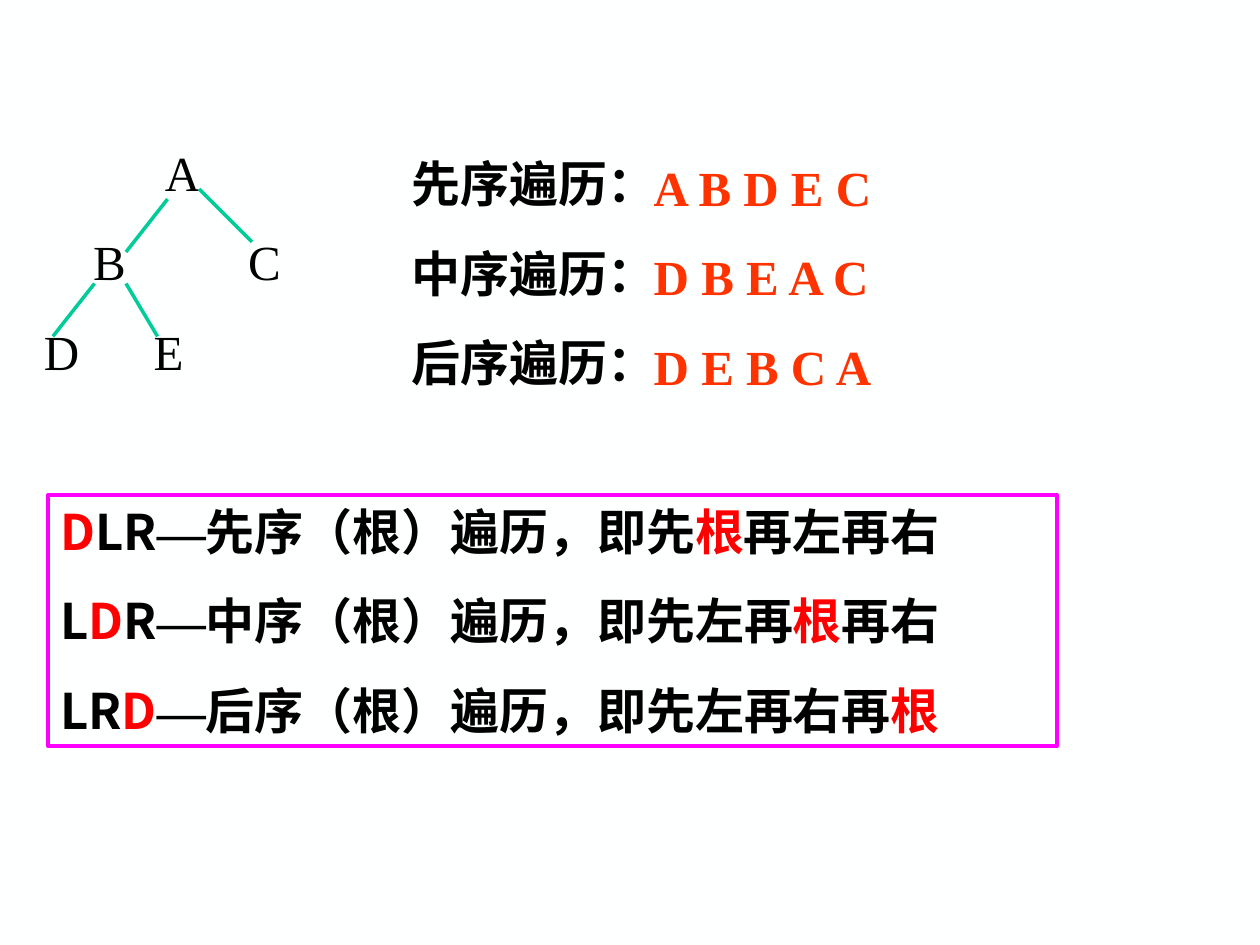
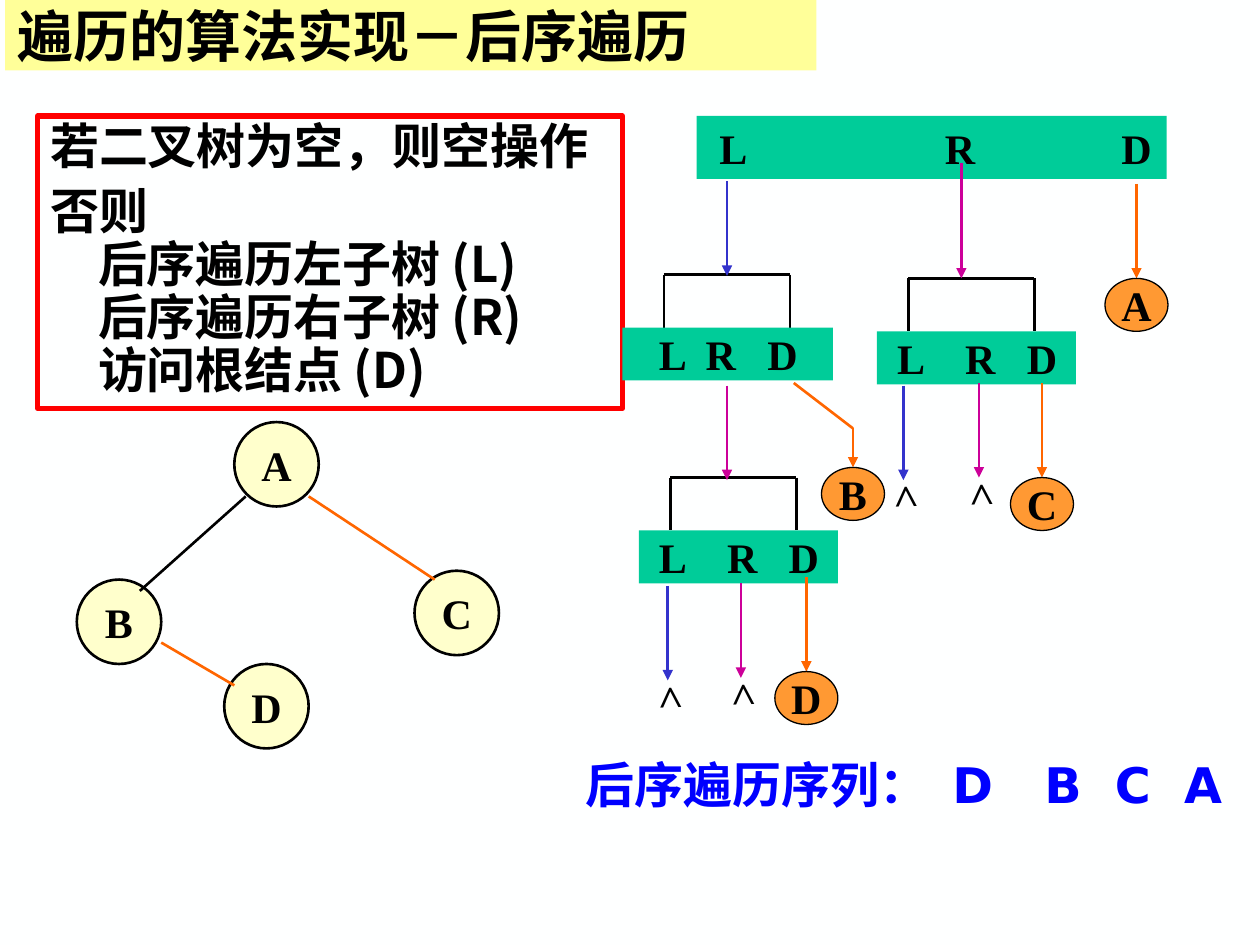
from dataclasses import dataclass
from typing import Sequence

from lxml.etree import SubElement
from pptx import Presentation
from pptx.dml.color import RGBColor
from pptx.enum.shapes import MSO_CONNECTOR as Connector, MSO_SHAPE as Preset
from pptx.enum.text import MSO_ANCHOR as Anchor, MSO_AUTO_SIZE as AutoSize, PP_ALIGN as Align
from pptx.oxml.ns import qn
from pptx.util import Inches, Pt

COLORS = {
    "background": "FEFFFF",
    "ink": "000000",
    "root": "FF0000",
    "result": "FF3300",
    "sequence": "0000FF",
    "title_band": "FFFF99",
    "rule_frame": "FF00FF",
    "green": "00CC99",
    "node": "FFFFCC",
    "visited": "FF9933",
    "L": "3333CC",
    "R": "CC0099",
    "D": "FF6600",
}
SERIF = "Times New Roman"
SANS = "Noto Sans CJK SC"
WIDE = "DejaVu Sans"


@dataclass(frozen=True)
class Run:
    text: str
    color: str = "ink"
    font: str = ""


@dataclass(frozen=True)
class Edge:
    x1: float
    y1: float
    x2: float
    y2: float
    color: str = "ink"


@dataclass(frozen=True)
class Node:
    letter: str
    left: float
    top: float


@dataclass(frozen=True)
class CallBar:
    left: float
    top: float
    width: float
    height: float
    inset: float
    tabs: tuple[float, ...]
    bracket: float | None = None


@dataclass(frozen=True)
class Step:
    role: str
    x: float
    top: float
    leaf: str = ""
    length: float = 0.75


TREE_EDGES = [
    Edge(1.33, 1.58, 1, 2, "green"),
    Edge(1.58, 1.5, 2, 1.92, "green"),
    Edge(1, 2.25, 1.25, 2.67, "green"),
    Edge(0.75, 2.25, 0.42, 2.67, "green"),
]
NODE_EDGES = [
    Edge(1.95, 3.94, 1.11, 4.69),
    Edge(2.45, 3.94, 3.45, 4.6, "D"),
    Edge(1.28, 5.1, 1.86, 5.44, "D"),
]
NODES = [
    Node("A", 1.86, 3.35),
    Node("D", 1.78, 5.27),
    Node("B", 0.61, 4.6),
    Node("C", 3.29, 4.53),
]
CALL_BARS = [
    CallBar(5.53, 0.92, 3.73, 0.5, 0.18, (1.79, 3.19)),
    CallBar(4.94, 2.6, 1.67, 0.42, 0.29, (0.37, 0.86), 0.33),
    CallBar(6.96, 2.63, 1.58, 0.42, 0.16, (0.54, 1.03), 0.25),
    CallBar(5.07, 4.21, 1.58, 0.42, 0.16, (0.54, 1.03), 0.25),
]
STEPS = [
    Step("L", 5.77, 1.44),
    Step("R", 7.63, 1.29, length=0.92),
    Step("D", 9.02, 1.46, "A"),
    Step("R", 5.77, 3.06),
    Step("D", 6.77, 3.4, "B", 0.31),
    Step("L", 7.17, 3.06, ">"),
    Step("R", 7.77, 3.04, ">"),
    Step("D", 8.27, 3.04, "C"),
    Step("L", 5.3, 4.65, ">"),
    Step("R", 5.88, 4.63, ">"),
    Step("D", 6.4, 4.58, "D"),
]


def rgb(name: str) -> RGBColor:
    return RGBColor.from_string(COLORS[name])


def add_tab_stops(paragraph, stops: Sequence[float]) -> None:
    if not stops:
        return
    tab_list = SubElement(paragraph._p.get_or_add_pPr(), qn("a:tabLst"))
    for stop in stops:
        SubElement(tab_list, qn("a:tab"), pos=str(Inches(stop)), algn="l")


def write(shape, paragraphs: Sequence, *, size: float, font: str = SERIF, color: str = "ink",
          bold: bool = True, align=Align.LEFT, anchor=Anchor.TOP, before: float = 0,
          spacing: float = 1.0, hanging: float = 0, tabs: Sequence = (),
          inset: float = 0.1, wrap: bool = True) -> None:
    frame = shape.text_frame
    frame.auto_size = AutoSize.NONE
    frame.word_wrap = wrap
    frame.vertical_anchor = anchor
    frame.margin_left, frame.margin_right = Inches(inset), Inches(0.1)
    frame.margin_top = frame.margin_bottom = Inches(0.05)
    for index, content in enumerate(paragraphs):
        paragraph = frame.add_paragraph() if index else frame.paragraphs[0]
        paragraph.alignment = align
        paragraph.space_before = Pt(before)
        paragraph.line_spacing = spacing
        if hanging:
            properties = paragraph._p.get_or_add_pPr()
            properties.set("marL", str(Inches(hanging)))
            properties.set("indent", str(-Inches(hanging)))
        add_tab_stops(paragraph, tabs[index] if tabs else ())
        runs = [Run(content, color)] if isinstance(content, str) else content
        for part in runs:
            for line_index, line in enumerate(part.text.split("\n")):
                if line_index:
                    paragraph.add_line_break()
                run = paragraph.add_run()
                run.text = line
                run.font.size = Pt(size)
                run.font.bold = bold
                run.font.name = part.font or font
                run.font.color.rgb = rgb(part.color)
                SubElement(run._r.get_or_add_rPr(), qn("a:ea"), typeface=SANS)


def add_textbox(slide, left: float, top: float, width: float, height: float):
    return slide.shapes.add_textbox(Inches(left), Inches(top), Inches(width), Inches(height))


def add_figure(slide, preset, left: float, top: float, width: float, height: float,
               fill: str = "", line: str = "", weight: float = 1.5):
    figure = slide.shapes.add_shape(preset, Inches(left), Inches(top), Inches(width), Inches(height))
    figure.shadow.inherit = False
    if fill:
        figure.fill.solid()
        figure.fill.fore_color.rgb = rgb(fill)
    else:
        figure.fill.background()
    if line:
        figure.line.color.rgb = rgb(line)
        figure.line.width = Pt(weight)
    else:
        figure.line.fill.background()
    return figure


def add_edge(slide, edge: Edge, weight: float = 1.5, arrow: bool = False) -> None:
    connector = slide.shapes.add_connector(
        Connector.STRAIGHT, Inches(edge.x1), Inches(edge.y1), Inches(edge.x2), Inches(edge.y2))
    connector.line.color.rgb = rgb(edge.color)
    connector.line.width = Pt(weight)
    if arrow:
        SubElement(connector.line._get_or_add_ln(), qn("a:tailEnd"), type="triangle")
    SubElement(connector._element.spPr, qn("a:effectLst"))


def add_circle(slide, letter: str, left: float, top: float, width: float, height: float,
               fill: str, weight: float) -> None:
    circle = add_figure(slide, Preset.OVAL, left, top, width, height, fill, "ink", weight)
    write(circle, [letter], size=24, align=Align.CENTER, anchor=Anchor.MIDDLE, wrap=False)


def add_call_bar(slide, bar: CallBar) -> None:
    if bar.bracket is not None:
        left, top = bar.left + bar.bracket, bar.top - 0.42
        right = left + 1
        add_edge(slide, Edge(left, top, right, top))
        for x in (left, right):
            add_edge(slide, Edge(x, top, x, bar.top))
    band = add_figure(slide, Preset.RECTANGLE, bar.left, bar.top, bar.width, bar.height, "green")
    write(band, ["L\tR\tD"], size=24, anchor=Anchor.MIDDLE, inset=bar.inset, tabs=[bar.tabs])


def add_step(slide, step: Step) -> None:
    end = step.top + step.length
    add_edge(slide, Edge(step.x, step.top, step.x, end, step.role), arrow=True)
    if step.leaf == ">":
        empty_mark = add_textbox(slide, step.x - 0.21, end - 0.13, 0.42, 0.5)
        empty_mark.rotation = 268.3
        write(empty_mark, [step.leaf], size=24, before=15)
    elif step.leaf:
        add_circle(slide, step.leaf, step.x - 0.25, end, 0.5, 0.42, "visited", 0.75)


def rule(order: str, name: str, before_root: str, after_root: str) -> list[Run]:
    letters = [Run(letter, "root" if letter == "D" else "ink") for letter in order]
    return letters + [
        Run("—", font=SERIF),
        Run(f"{name}（根）遍历，即先{before_root}"),
        Run("根", "root"),
        Run(after_root),
    ]


def build_orders_slide(deck) -> None:
    slide = deck.slides.add_slide(deck.slide_layouts[6])
    orders = add_textbox(slide, 3.17, 1.17, 2.23, 1.99)
    write(orders, ["先序遍历：", "中序遍历：", "后序遍历："], size=28, before=17.5)
    tree = add_textbox(slide, 0.25, 1.08, 2.75, 1.99)
    write(tree, ["\tA", "\tB\tC", "D\tE"], size=28, bold=False, before=17.5,
          tabs=[(0.96,), (0.39, 1.62), (0.87,)])
    for edge in TREE_EDGES:
        add_edge(slide, edge, weight=2)
    results = add_textbox(slide, 5.09, 1.2, 2, 1.99)
    write(results, ["A B D E C", "D B E A C", "D E B C A"], size=28, color="result", before=17.5)
    rules = add_figure(slide, Preset.RECTANGLE, 0.38, 3.93, 8.01, 1.99, line="rule_frame", weight=2.25)
    write(rules, [
        rule("DLR", "先序", "", "再左再右"),
        rule("LDR", "中序", "左再", "再右"),
        rule("LRD", "后序", "左再右再", ""),
    ], size=28, font=SANS, before=17.5)


def build_postorder_slide(deck) -> None:
    slide = deck.slides.add_slide(deck.slide_layouts[5])
    title = slide.shapes.title
    title.left, title.top, title.width, title.height = map(Inches, (0.04, 0, 6.44, 0.56))
    title.fill.solid()
    title.fill.fore_color.rgb = rgb("title_band")
    write(title, ["遍历的算法实现－后序遍历"], size=32, font=SANS, anchor=Anchor.MIDDLE)

    algorithm = add_figure(slide, Preset.RECTANGLE, 0.3, 0.92, 4.64, 2.32, line="root", weight=3)
    write(algorithm, [
        "若二叉树为空，则空操作",
        "否则\n后序遍历左子树 (L)\n后序遍历右子树 (R)\n访问根结点 (D)",
    ], size=28, font=SANS, before=7, spacing=0.9, hanging=0.38)

    for node in NODES:
        add_circle(slide, node.letter, node.left, node.top, 0.67, 0.67, "node", 1.5)
    for edge in NODE_EDGES:
        add_edge(slide, edge)
    for bar in CALL_BARS:
        add_call_bar(slide, bar)
    for step in STEPS:
        add_step(slide, step)
    add_edge(slide, Edge(6.3, 3.04, 6.77, 3.4, "D"))

    sequence = add_textbox(slide, 4.55, 5.94, 5.33, 0.57)
    write(sequence, ["后序遍历序列：\tD\tB\tC\tA"], size=28, font=WIDE, color="sequence",
          tabs=[(2.91, 3.64, 4.2, 4.75)])


def main() -> None:
    deck = Presentation()
    deck.slide_width, deck.slide_height = Inches(10), Inches(7.5)
    backdrop = deck.slide_master.background.fill
    backdrop.solid()
    backdrop.fore_color.rgb = rgb("background")
    build_orders_slide(deck)
    build_postorder_slide(deck)
    deck.save("out.pptx")


if __name__ == "__main__":
    main()
